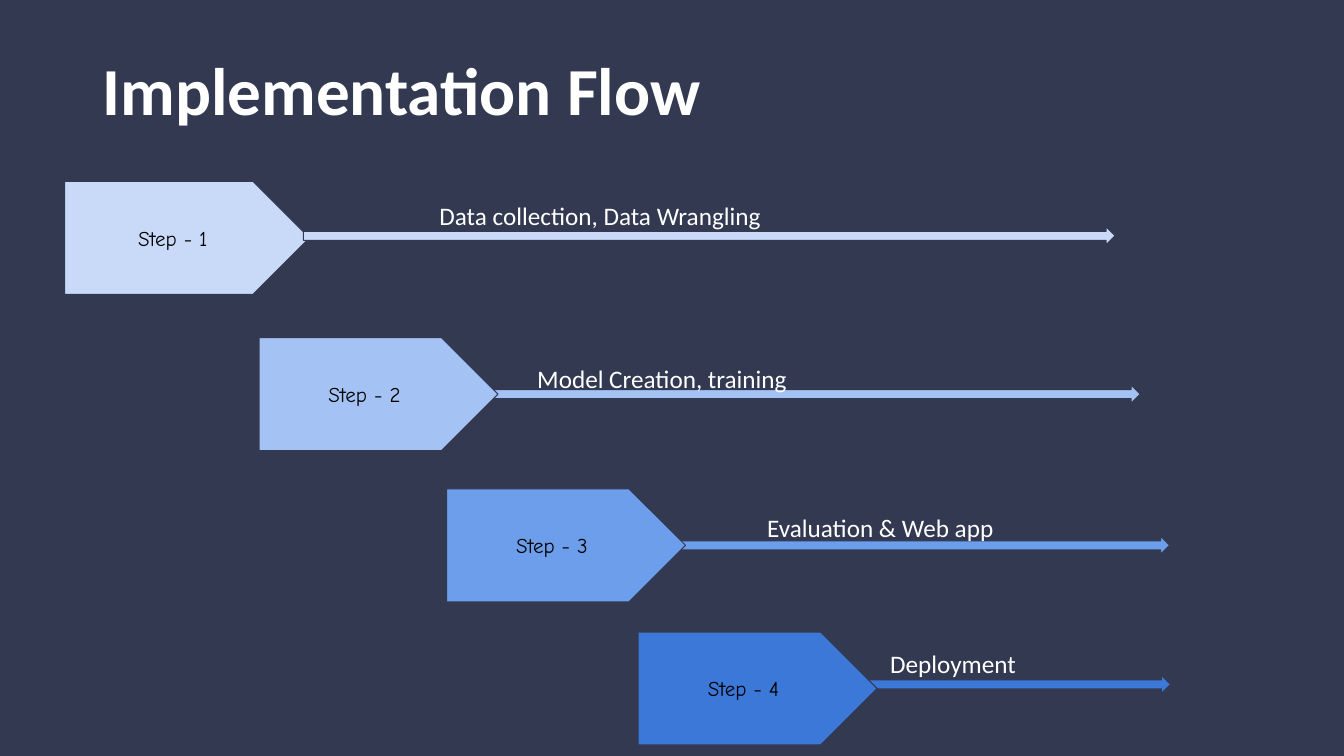
from dataclasses import dataclass

from pptx import Presentation
from pptx.dml.color import RGBColor
from pptx.enum.shapes import MSO_SHAPE
from pptx.enum.text import MSO_ANCHOR, PP_ALIGN
from pptx.util import Inches, Pt


@dataclass(frozen=True)
class Theme:
    background: str = "323951"
    light: str = "FFFFFF"
    dark: str = "000000"
    steps: tuple = ("C9DAF8", "A4C2F4", "6D9EEB", "3C78D8")
    body_font: str = "Calibri"
    step_font: str = "Comic Neue"
    title_size: int = 48
    label_size: int = 18
    step_size: int = 15
    outline: float = 0.75


class FlowSlide:
    """Holds the theme and the current page, and draws each kind of element."""

    def __init__(self, deck, theme):
        self.theme = theme
        self.page = deck.slides.add_slide(deck.slide_layouts[6])
        background = self.page.background.fill
        background.solid()
        background.fore_color.rgb = RGBColor.from_string(theme.background)

    def set_text(self, box, text, color, inset=0.1, anchor=MSO_ANCHOR.TOP,
                 align=PP_ALIGN.LEFT, spacing=1.0, **font_format):
        frame = box.text_frame
        frame_format = {
            "word_wrap": True, "vertical_anchor": anchor,
            "margin_left": Inches(0.1), "margin_right": Inches(0.1),
            "margin_top": Inches(inset), "margin_bottom": Inches(inset),
        }
        for name, value in frame_format.items():
            setattr(frame, name, value)
        para = frame.paragraphs[0]
        para.alignment = align
        para.line_spacing = spacing
        span = para.add_run()
        span.text = text
        span.font.color.rgb = RGBColor.from_string(color)
        for name, value in font_format.items():
            setattr(span.font, name, value)

    def text_box(self, area, text, **style):
        box = self.page.shapes.add_textbox(*map(Inches, area))
        self.set_text(box, text, self.theme.light, name=self.theme.body_font, **style)

    def title(self, area, text):
        self.text_box(area, text, inset=0.05, anchor=MSO_ANCHOR.MIDDLE, spacing=0.9,
                      size=Pt(self.theme.title_size), bold=True)

    def label(self, area, text):
        self.text_box(area, text, size=Pt(self.theme.label_size))

    def block(self, kind, area, color):
        shape = self.page.shapes.add_shape(kind, *map(Inches, area))
        shape.shadow.inherit = False
        shape.fill.solid()
        shape.fill.fore_color.rgb = RGBColor.from_string(color)
        shape.line.color.rgb = RGBColor.from_string(self.theme.background)
        shape.line.width = Pt(self.theme.outline)
        return shape

    def arrow(self, area, color):
        self.block(MSO_SHAPE.RIGHT_ARROW, area, color)

    def step(self, area, text, color):
        plate = self.block(MSO_SHAPE.PENTAGON, area, color)
        self.set_text(plate, text, self.theme.dark, anchor=MSO_ANCHOR.MIDDLE,
                      align=PP_ALIGN.CENTER, name=self.theme.step_font,
                      size=Pt(self.theme.step_size))


PLATE_HEIGHT = 1.12
ARROW_HEIGHT = 0.18
LABEL_HEIGHT = 0.5

# Plate, arrow and label are each (left, top, width).
STEPS = [
    ((0.64, 1.8, 2.43), (3.01, 2.25, 8.05), (4.26, 1.89, 5.15),
     "Data collection, Data Wrangling"),
    ((2.57, 3.35, 2.37), (4.66, 3.82, 6.65), (5.23, 3.5, 5.15),
     "Model Creation, training"),
    ((4.43, 4.85, 2.37), (4.55, 5.32, 7.05), (7.51, 4.98, 4.31),
     "Evaluation & Web app"),
    ((6.33, 6.27, 2.37), (6.67, 6.7, 4.94), (8.73, 6.33, 4.13),
     "Deployment"),
]


def main():
    deck = Presentation()
    deck.slide_width, deck.slide_height = Inches(13.33), Inches(7.5)
    theme = Theme()
    flow = FlowSlide(deck, theme)
    flow.title((0.92, 0.31, 11.5, 1.24), "Implementation Flow")

    for number, (plate, arrow, label, text) in enumerate(STEPS, 1):
        color = theme.steps[number - 1]
        draw_plate = (flow.step, (*plate, PLATE_HEIGHT), f"Step - {number}", color)
        draw_arrow = (flow.arrow, (*arrow, ARROW_HEIGHT), color)
        # The first arrow lies over its plate; the later ones start behind theirs.
        order = (draw_plate, draw_arrow) if number == 1 else (draw_arrow, draw_plate)
        for draw, *details in order:
            draw(*details)
        flow.label((*label, LABEL_HEIGHT), text)

    deck.save("out.pptx")


if __name__ == "__main__":
    main()
